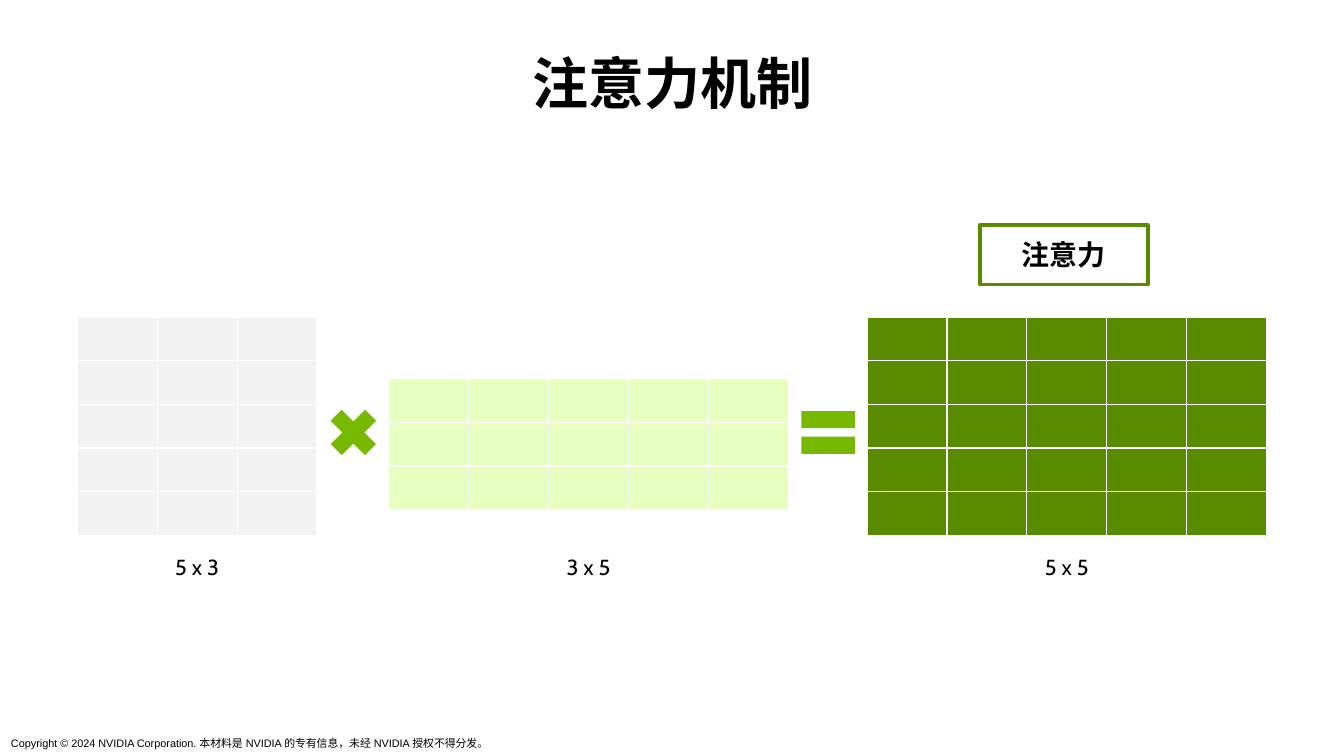
"""Build a slide that shows attention as the product of two matrices."""
import pptx
import pptx.dml.color
import pptx.enum.shapes
import pptx.enum.text
import pptx.oxml
import pptx.oxml.ns
import pptx.util
from dataclasses import dataclass

Pt = pptx.util.Pt
Anchor = pptx.enum.text.MSO_ANCHOR
Align = pptx.enum.text.PP_ALIGN
Shape = pptx.enum.shapes.MSO_SHAPE


@dataclass(frozen=True)
class Theme:
    ink: str = "000000"
    grid: str = "FFFFFF"
    operator: str = "76B900"
    result: str = "598B00"
    left: str = "F2F2F2"
    right: str = "E7FFBE"
    chinese: str = "Noto Sans CJK SC"
    label: str = "Cabin"
    footer: str = "Arial"
    title_size: int = 36
    tag_size: int = 18
    label_size: int = 14
    footer_size: int = 7


THEME = Theme()
SLIDE_WIDTH, SLIDE_HEIGHT = 864, 486
CELL_WIDTH, CELL_HEIGHT = 51.4, 28.08
OPERATOR_MIDDLE = 278
LABEL_TOP, LABEL_WIDTH, LABEL_HEIGHT = 354.2, 93.6, 22.3

TITLE = "注意力机制"
TAG = "注意力"
COPYRIGHT = "Copyright © 2024 NVIDIA Corporation. 本材料是 NVIDIA 的专有信息，未经 NVIDIA 授权不得分发。"
MATRICES = [
    {"rows": 5, "columns": 3, "left": 49.7, "middle": 274, "fill": THEME.left},
    {"rows": 3, "columns": 5, "left": 249.9, "middle": 285.5, "fill": THEME.right},
    {"rows": 5, "columns": 5, "left": 557.3, "middle": 274, "fill": THEME.result},
]
OPERATORS = [
    (Shape.MATH_MULTIPLY, 227.2, 42.5),
    (Shape.MATH_EQUAL, 532.4, 46.8),
]


def color(value):
    return pptx.dml.color.RGBColor.from_string(value)


def write(shape, text, font, size, bold=False, align=Align.CENTER, anchor=Anchor.MIDDLE, spacing=None):
    frame = shape.text_frame
    frame.word_wrap = True
    frame.auto_size = pptx.enum.text.MSO_AUTO_SIZE.NONE
    frame.vertical_anchor = anchor
    para = frame.paragraphs[0]
    para.alignment = align
    if spacing:
        para.line_spacing = spacing
    span = para.add_run()
    span.text = text
    span.font.name = font
    span.font.size = Pt(size)
    span.font.bold = bold
    span.font.color.rgb = color(THEME.ink)
    east_asian = pptx.oxml.parse_xml(f'<a:ea {pptx.oxml.ns.nsdecls("a")} typeface="{font}"/>')
    span.font._element.find(pptx.oxml.ns.qn("a:latin")).addnext(east_asian)


def format_cell(cell, fill):
    cell.margin_left = cell.margin_right = cell.margin_top = cell.margin_bottom = 0
    cell.fill.solid()
    cell.fill.fore_color.rgb = color(fill)
    properties = cell._tc.get_or_add_tcPr()
    for index, side in enumerate(("lnL", "lnR", "lnT", "lnB")):
        border = pptx.oxml.parse_xml(
            f'<a:{side} {pptx.oxml.ns.nsdecls("a")} w="{Pt(1)}"><a:solidFill>'
            f'<a:srgbClr val="{THEME.grid}"/></a:solidFill></a:{side}>'
        )
        properties.insert(index, border)


def add_matrix(page, matrix):
    rows, columns = matrix["rows"], matrix["columns"]
    width, height = columns * CELL_WIDTH, rows * CELL_HEIGHT
    top = matrix["middle"] - height / 2
    table = page.shapes.add_table(
        rows, columns, Pt(matrix["left"]), Pt(top), Pt(width), Pt(height)
    ).table
    for column in table.columns:
        column.width = Pt(CELL_WIDTH)
    for row in table.rows:
        row.height = Pt(CELL_HEIGHT)
    for cell in table.iter_cells():
        format_cell(cell, matrix["fill"])
    label_left = matrix["left"] + (width - LABEL_WIDTH) / 2
    label = page.shapes.add_textbox(Pt(label_left), Pt(LABEL_TOP), Pt(LABEL_WIDTH), Pt(LABEL_HEIGHT))
    write(label, f"{rows} x {columns}", THEME.label, THEME.label_size, spacing=0.9)


def add_operator(page, kind, left, size):
    sign = page.shapes.add_shape(kind, Pt(left - size / 2), Pt(OPERATOR_MIDDLE - size / 2), Pt(size), Pt(size))
    sign.shadow.inherit = False
    sign.fill.solid()
    sign.fill.fore_color.rgb = color(THEME.operator)
    sign.line.fill.background()


def add_tag(page):
    tag = page.shapes.add_shape(Shape.RECTANGLE, Pt(630), Pt(144.7), Pt(108), Pt(38.2))
    tag.shadow.inherit = False
    tag.fill.background()
    tag.line.color.rgb = color(THEME.result)
    tag.line.width = Pt(2.25)
    write(tag, TAG, THEME.chinese, THEME.tag_size, bold=True)


def main():
    deck = pptx.Presentation()
    deck.slide_width, deck.slide_height = Pt(SLIDE_WIDTH), Pt(SLIDE_HEIGHT)
    page = deck.slides.add_slide(deck.slide_layouts[5])
    title = page.shapes.title
    title.left, title.top, title.width, title.height = Pt(39.3), Pt(31.7), Pt(785.5), Pt(46.8)
    write(title, TITLE, THEME.chinese, THEME.title_size, bold=True, anchor=Anchor.BOTTOM, spacing=0.9)
    for kind, center, size in OPERATORS:
        add_operator(page, kind, center, size)
    add_tag(page)
    for matrix in MATRICES:
        add_matrix(page, matrix)
    footer = page.shapes.add_textbox(0, Pt(470.2), Pt(326.2), Pt(15.8))
    footer.text_frame.margin_right = 0
    write(footer, COPYRIGHT, THEME.footer, THEME.footer_size, align=Align.LEFT, anchor=Anchor.TOP)
    deck.save("out.pptx")


if __name__ == "__main__":
    main()
